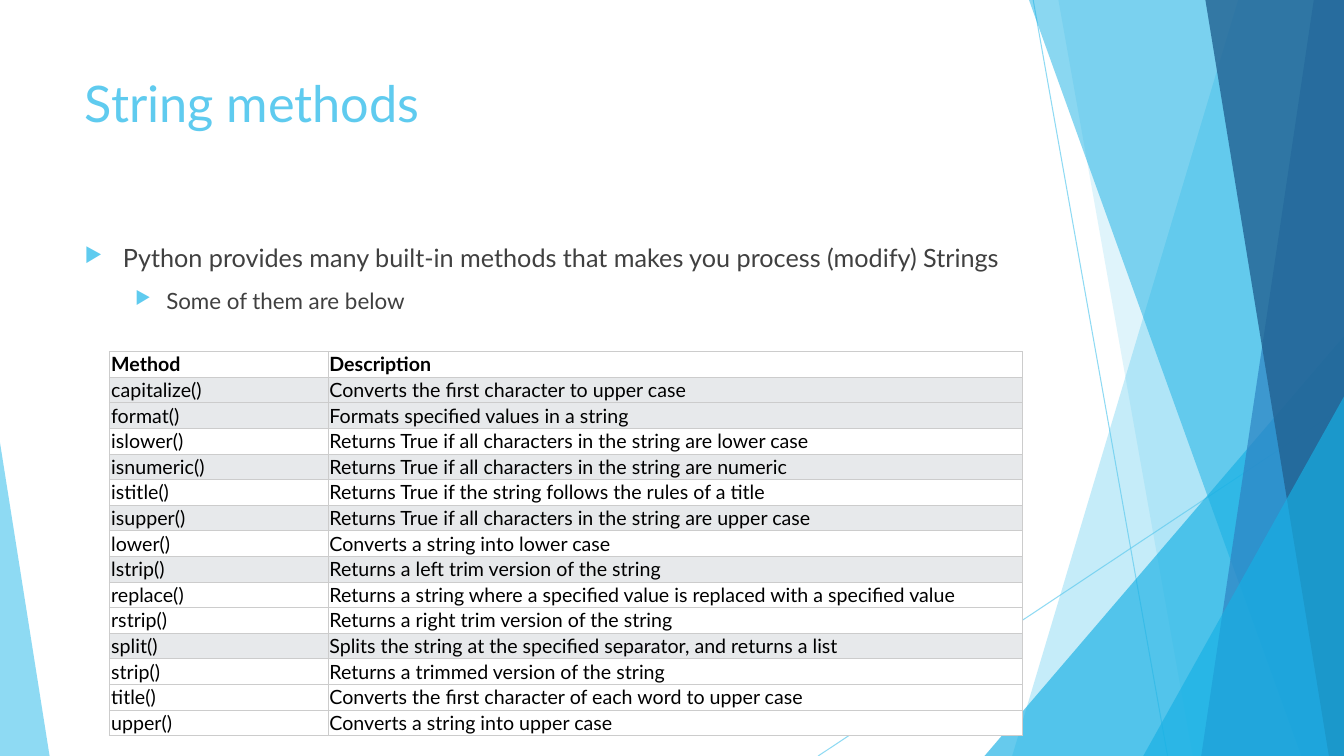
import dataclasses

import lxml.etree
import pptx
import pptx.dml.color
import pptx.enum.shapes
import pptx.enum.text
import pptx.oxml.ns
import pptx.util


@dataclasses.dataclass(frozen=True)
class Theme:
    """Colours, type sizes and grid of the deck."""
    font: str = "Lato"
    sky: str = "5FCBEF"
    cyan: str = "17B0E4"
    blue: str = "2E83C3"
    navy: str = "226292"
    body: str = "404040"
    black: str = "000000"
    white: str = "FFFFFF"
    band: str = "E7E9EB"
    border: str = "CCCCCC"
    title_size: int = 36
    point_sizes: tuple = (18, 16)
    table_size: int = 14
    columns: int = 160
    rows: int = 90


THEME = Theme()

METHODS = [
    ("Method", "Description"),
    ("capitalize()", "Converts the first character to upper case"),
    ("format()", "Formats specified values in a string"),
    ("islower()", "Returns True if all characters in the string are lower case"),
    ("isnumeric()", "Returns True if all characters in the string are numeric"),
    ("istitle()", "Returns True if the string follows the rules of a title"),
    ("isupper()", "Returns True if all characters in the string are upper case"),
    ("lower()", "Converts a string into lower case"),
    ("lstrip()", "Returns a left trim version of the string"),
    ("replace()", "Returns a string where a specified value is replaced with a specified value"),
    ("rstrip()", "Returns a right trim version of the string"),
    ("split()", "Splits the string at the specified separator, and returns a list"),
    ("strip()", "Returns a trimmed version of the string"),
    ("title()", "Converts the first character of each word to upper case"),
    ("upper()", "Converts a string into upper case"),
]
SHADED = {"capitalize()", "format()", "isnumeric()", "isupper()", "lstrip()", "split()"}
POINTS = [
    ("Python provides many built-in methods that makes you process (modify) Strings", 0),
    ("Some of them are below", 1),
]


def rgb(value):
    """Turn a hex string into a colour."""
    return pptx.dml.color.RGBColor.from_string(value)


def add_xml(parent, tag, **attributes):
    """Append a drawing element and return it."""
    return lxml.etree.SubElement(parent, pptx.oxml.ns.qn(f"a:{tag}"), attributes)


def write(paragraph, text, size, color, bold=False, before=0):
    """Write formatted, left-aligned text into a paragraph."""
    paragraph.alignment = pptx.enum.text.PP_ALIGN.LEFT
    paragraph.space_before = pptx.util.Pt(before)
    run = paragraph.add_run()
    run.text = text
    run.font.name = THEME.font
    run.font.size = pptx.util.Pt(size)
    run.font.bold = bold
    run.font.color.rgb = rgb(color)


def set_opacity(shape, percent):
    """Make the colour of a shape or line partly transparent."""
    for color in shape.element.spPr.xpath(".//a:srgbClr"):
        add_xml(color, "alpha", val=str(percent * 1000))


class SlideBuilder:
    """Draws elements on one slide in grid units."""

    def __init__(self, deck, theme):
        """Add a title-only slide to the deck."""
        self.theme = theme
        self.column = deck.slide_width / theme.columns
        self.row = deck.slide_height / theme.rows
        self.slide = deck.slides.add_slide(deck.slide_layouts[5])
        self.shapes = self.slide.shapes

    def place(self, *lengths):
        """Convert alternating columns and rows to slide lengths."""
        return [round(length * (self.row if index % 2 else self.column))
                for index, length in enumerate(lengths)]

    def paint(self, shape, color, opacity):
        """Give a shape a translucent fill without outline or shadow."""
        shape.shadow.inherit = False
        shape.fill.solid()
        shape.fill.fore_color.rgb = rgb(color)
        shape.line.fill.background()
        set_opacity(shape, opacity)

    def hairline(self, *ends):
        """Draw a thin translucent line."""
        line = self.shapes.add_connector(
            pptx.enum.shapes.MSO_CONNECTOR.STRAIGHT, *self.place(*ends))
        line.line.color.rgb = rgb(self.theme.sky)
        line.line.width = pptx.util.Pt(0.75)
        set_opacity(line, 70)
        add_xml(line.element.spPr, "effectLst")

    def panel(self, top_column, bottom_column, color, opacity):
        """Fill from a slanted left edge to the slide's right edge."""
        right, bottom = self.theme.columns, self.theme.rows
        outline = self.shapes.build_freeform(*self.place(top_column, 0))
        outline.add_line_segments(
            [self.place(right, 0), self.place(right, bottom), self.place(bottom_column, bottom)])
        self.paint(outline.convert_to_shape(), color, opacity)

    def corner(self, left, top, width, apex, color, opacity):
        """Draw a triangle standing on the slide's bottom edge."""
        triangle = self.shapes.add_shape(
            pptx.enum.shapes.MSO_SHAPE.ISOSCELES_TRIANGLE,
            *self.place(left, top, width, self.theme.rows - top))
        triangle.adjustments[0] = apex
        self.paint(triangle, color, opacity)

    def title(self, text, *box):
        """Place and fill the title placeholder."""
        heading = self.shapes.title
        heading.left, heading.top, heading.width, heading.height = self.place(*box)
        heading.text_frame.vertical_anchor = pptx.enum.text.MSO_ANCHOR.TOP
        write(heading.text_frame.paragraphs[0], text, self.theme.title_size, self.theme.sky)

    def bullets(self, points, *box):
        """Write a two-level bulleted list."""
        frame = self.shapes.add_textbox(*self.place(*box)).text_frame
        frame.word_wrap = True
        for index, (text, level) in enumerate(points):
            paragraph = frame.add_paragraph() if index else frame.paragraphs[0]
            paragraph.level = level
            margin, indent = ((0.38, -0.38), (0.81, -0.31))[level]
            write(paragraph, text, self.theme.point_sizes[level], self.theme.body,
                  before=10 if index else 0)
            properties = paragraph._p.get_or_add_pPr()
            properties.set("marL", str(pptx.util.Inches(margin)))
            properties.set("indent", str(pptx.util.Inches(indent)))
            add_xml(add_xml(properties, "buClr"), "srgbClr", val=self.theme.sky)
            add_xml(properties, "buSzPct", val="80000")
            add_xml(properties, "buChar", char="▶")

    def cell(self, cell, text, fill, bold, left_inset):
        """Write, border and fill one table cell."""
        cell.margin_left = pptx.util.Inches(left_inset)
        cell.margin_top = cell.margin_right = cell.margin_bottom = pptx.util.Inches(0.01)
        write(cell.text_frame.paragraphs[0], text, self.theme.table_size, self.theme.black, bold=bold)
        properties = cell._tc.get_or_add_tcPr()
        for side in "LRTB":
            edge = add_xml(properties, f"ln{side}", w=str(pptx.util.Pt(0.6)))
            add_xml(add_xml(edge, "solidFill"), "srgbClr", val=self.theme.border)
        cell.fill.solid()
        cell.fill.fore_color.rgb = rgb(fill)

    def table(self, entries, left, top, widths, row_height):
        """Draw a bordered table with a bold header."""
        table = self.shapes.add_table(
            len(entries), len(widths),
            *self.place(left, top, sum(widths), row_height * len(entries))).table
        table.first_row = table.horz_banding = False
        for column, width in zip(table.columns, widths):
            column.width = round(width * self.column)
        for index, entry in enumerate(entries):
            table.rows[index].height = round(row_height * self.row)
            fill = self.theme.band if entry[0] in SHADED else self.theme.white
            for position, text in enumerate(entry):
                self.cell(table.cell(index, position), text, fill, index == 0,
                          0.01 if position else 0.02)


def main():
    """Build and save the slide."""
    deck = pptx.Presentation()
    deck.slide_width = pptx.util.Inches(13.33)
    deck.slide_height = pptx.util.Inches(7.5)
    page = SlideBuilder(deck, THEME)
    page.hairline(123, 0, 139, 90)
    page.hairline(160, 48.4, 97.4, 90)
    page.panel(147.4, 120.5, THEME.sky, 36)
    page.panel(126, 142, THEME.sky, 20)
    page.corner(117.2, 40, 42.8, 1, THEME.cyan, 66)
    page.panel(122.5, 154.9, THEME.cyan, 50)
    page.panel(156.4, 143, THEME.blue, 70)
    page.panel(143.5, 158.2, THEME.navy, 80)
    page.corner(136.1, 47.2, 23.9, 1, THEME.cyan, 66)
    page.corner(0, 52.7, 5.9, 0, THEME.sky, 70)
    page.title("String methods", 8.9, 8, 112.8, 17.3)
    page.bullets(POINTS, 8.9, 28.3, 112.8, 50.9)
    page.table(METHODS, 13, 41.85, (26.1, 82.6), 3.05)
    deck.save("out.pptx")


if __name__ == "__main__":
    main()
